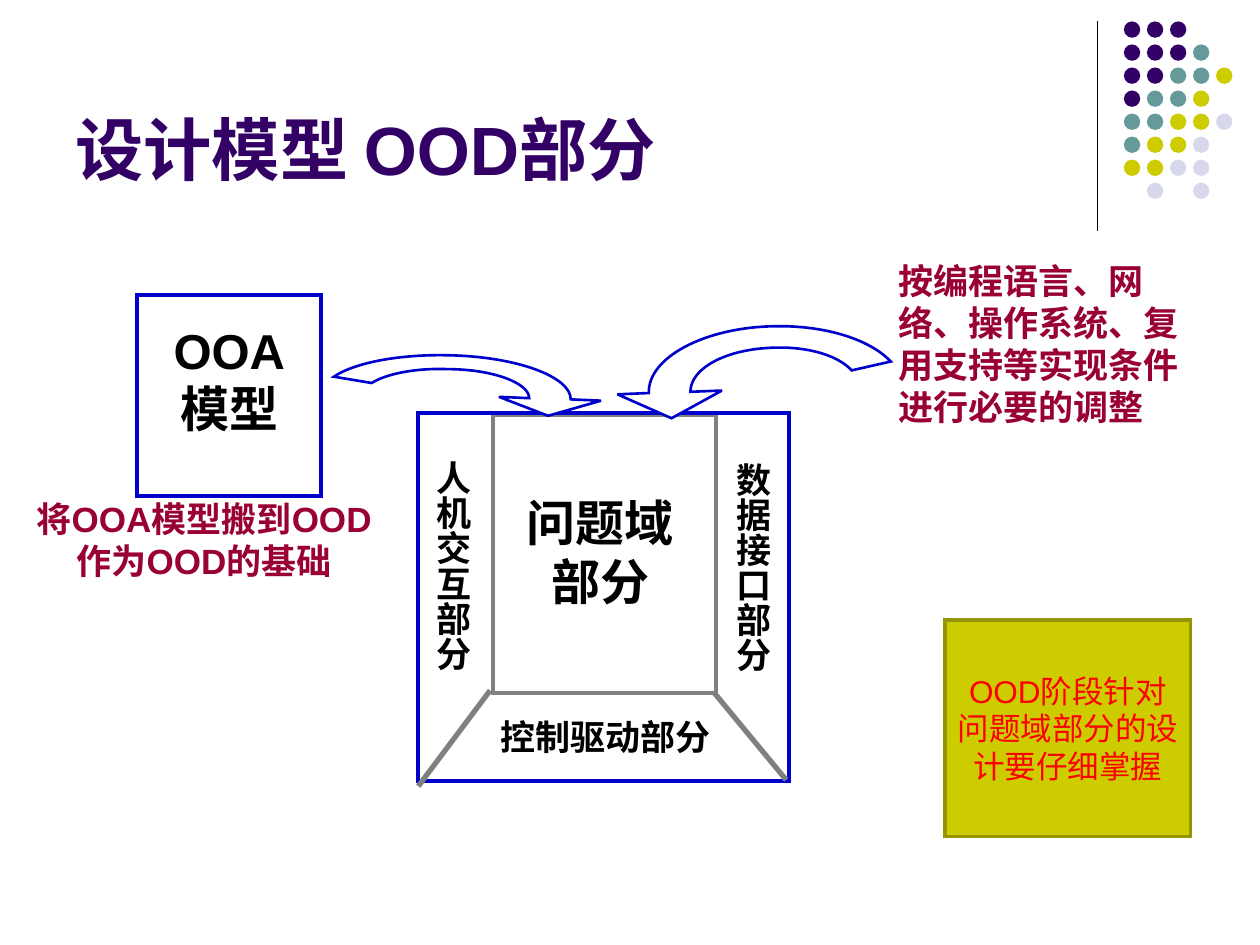
import pptx
import pptx.util
import pptx.dml.color
import pptx.enum.shapes
import pptx.enum.text
import pptx.oxml.ns
from lxml import etree

Inches = pptx.util.Inches
Pt = pptx.util.Pt
SHAPE = pptx.enum.shapes.MSO_SHAPE
ALIGN = pptx.enum.text.PP_ALIGN
ANCHOR = pptx.enum.text.MSO_ANCHOR
qn = pptx.oxml.ns.qn

PURPLE, BLUE, GRAY, WINE = "330066", "0000CC", "808080", "990033"
BLACK, WHITE, RED, OLIVE, DARK_OLIVE = "000000", "FFFFFF", "FF0000", "CCCC00", "959500"
CJK = "Noto Sans CJK SC"

DOT_COLORS = {"P": PURPLE, "T": "669999", "O": OLIVE, "L": "D8D8EC"}
DOT_ROWS = ["PPP", "PPPT", "PPTTO", "PTTO", "TTOOL", "TOOL", "OOLL", " L L"]
DOT_LEFT, DOT_TOP, DOT_SIZE, DOT_PITCH = 8.92, 0.17, 0.13, 1.28 / 7

TITLE = (0.5, 0.13, 8.25, 1.42), ["设计模型 OOD部分"]
MOVE_NOTE = (0.2, 3.95, 2.84, 1), ["将OOA模型搬到OOD", "作为OOD的基础"]
OOA_MODEL = (1.09, 2.34, 1.46, 1.6), ["OOA", "模型"]
ADJUST_NOTE = (7.13, 2.06, 2.36, 1.33), ["按编程语言、网络、操作系统、复用支持等实现条件进行必要的调整"]
REMINDER = (7.5, 4.92, 1.95, 1.72), ["OOD阶段针对问题域部分的设计要仔细掌握"]

PROBLEM_FRAME = (3.91, 3.29, 1.77, 2.21)
OOD_FRAME = (3.32, 3.28, 2.94, 2.92)
CORNER_LINES = [((3.89, 5.48), (3.32, 6.24)), ((5.67, 5.5), (6.24, 6.19))]

# place, lines, size, alignment, text direction
PART_LABELS = [
    ((3.43, 3.66, 0.33, 1.67), ["人机交互部分"], 20, ALIGN.LEFT, "eaVert"),
    ((5.81, 3.67, 0.33, 1.67), ["数据接口部分"], 20, ALIGN.LEFT, "eaVert"),
    ((3.97, 5.68, 1.67, 0.33), ["控制驱动部分"], 20, ALIGN.LEFT, "horz"),
    ((4.18, 3.91, 1.17, 0.93), ["问题域", "部分"], 28, ALIGN.CENTER, "horz"),
]

# Each step is an end point, or two control points and an end point.
MOVE_ARROW = [
    [(4.2, 3.16)],
    [(4.2, 3.04), (3.91, 2.93), (3.55, 2.93)],
    [(3.29, 2.92), (3.06, 2.97), (2.95, 3.04)],
    [(2.65, 2.99)],
    [(2.81, 2.88), (3.17, 2.81), (3.56, 2.82)],
    [(4.1, 2.83), (4.53, 2.99), (4.53, 3.17)],
    [(4.77, 3.18)], [(4.35, 3.3)], [(3.96, 3.15)],
]
ADJUST_ARROW = [
    [(5.48, 3.11)],
    [(5.48, 2.92), (5.77, 2.77), (6.14, 2.76)],
    [(6.41, 2.75), (6.65, 2.82), (6.76, 2.94)],
    [(7.07, 2.87)],
    [(6.9, 2.69), (6.54, 2.58), (6.14, 2.59)],
    [(5.59, 2.6), (5.14, 2.84), (5.15, 3.12)],
    [(4.9, 3.13)], [(5.33, 3.32)], [(5.73, 3.1)],
]


def color(value):
    return pptx.dml.color.RGBColor.from_string(value)


def paint(shape, fill=None, line=None, width=1):
    shape.shadow.inherit = False
    if fill:
        shape.fill.solid()
        shape.fill.fore_color.rgb = color(fill)
    else:
        shape.fill.background()
    if line:
        shape.line.color.rgb = color(line)
        shape.line.width = Pt(width)
        etree.SubElement(shape.line._ln, qn("a:miter")).set("lim", "800000")
    else:
        shape.line.fill.background()


def add_preset(page, kind, place, **style):
    shape = page.shapes.add_shape(kind, *map(Inches, place))
    paint(shape, **style)
    return shape


def add_line(page, start, end, line, width):
    connector = page.shapes.add_connector(
        pptx.enum.shapes.MSO_CONNECTOR.STRAIGHT, *map(Inches, start + end))
    connector.line.color.rgb = color(line)
    connector.line.width = Pt(width)
    etree.SubElement(connector._element.spPr, qn("a:effectLst"))


def write(box, lines, size, ink, font="Arial", bold=True, align=ALIGN.LEFT,
          anchor=ANCHOR.TOP, insets=(0, 0, 0, 0), wrap=True):
    """Fill a box with text; insets are left, top, right, bottom in inches."""
    frame = box.text_frame
    frame.text = "\n".join(lines)
    frame.word_wrap = wrap
    frame.vertical_anchor = anchor
    (frame.margin_left, frame.margin_top,
     frame.margin_right, frame.margin_bottom) = map(Inches, insets)
    for para in frame.paragraphs:
        para.alignment = align
        para._p.get_or_add_pPr().set("hangingPunct", "0")
        for span in para.runs:
            span.font.size = Pt(size)
            span.font.bold = bold
            span.font.name = font
            span.font.color.rgb = color(ink)
            etree.SubElement(span.font._element, qn("a:ea")).set("typeface", CJK)


def add_curved_arrow(page, steps):
    """Build the outline from all points, then merge each curve's three lines."""
    points = [(Inches(x), Inches(y)) for step in steps for x, y in step]
    builder = page.shapes.build_freeform(*points[0])
    builder.add_line_segments(points[1:], close=True)
    arrow = builder.convert_to_shape()
    paint(arrow, fill=WHITE, line=BLUE, width=1.5)
    segments = iter(list(arrow._element.iter(qn("a:lnTo"))))
    for step in steps[1:]:
        first, *others = [next(segments) for _ in step]
        if others:
            curve = etree.Element(qn("a:cubicBezTo"))
            first.addprevious(curve)
            for segment in (first, *others):
                curve.append(segment[0])
                segment.getparent().remove(segment)


def add_dots(page):
    for row, codes in enumerate(DOT_ROWS):
        for column, code in enumerate(codes):
            if code in DOT_COLORS:
                place = (DOT_LEFT + column * DOT_PITCH, DOT_TOP + row * DOT_PITCH,
                         DOT_SIZE, DOT_SIZE)
                add_preset(page, SHAPE.OVAL, place, fill=DOT_COLORS[code])


def main():
    deck = pptx.Presentation()
    deck.slide_width, deck.slide_height = Inches(10), Inches(7.5)
    page = deck.slides.add_slide(deck.slide_layouts[6])

    add_line(page, (8.71, 0.17), (8.71, 1.83), BLACK, 0.75)
    add_dots(page)
    place, lines = TITLE
    write(page.shapes.add_textbox(*map(Inches, place)), lines, 39, PURPLE,
          anchor=ANCHOR.BOTTOM, insets=(0.1, 0.05, 0.1, 0.05))

    place, lines = MOVE_NOTE
    write(add_preset(page, SHAPE.RECTANGLE, place, line=WHITE, width=2.25),
          lines, 20, WINE, align=ALIGN.CENTER)

    add_preset(page, SHAPE.RECTANGLE, PROBLEM_FRAME, line=GRAY, width=2.25)
    add_preset(page, SHAPE.RECTANGLE, OOD_FRAME, line=BLUE, width=2.25)
    for start, end in CORNER_LINES:
        add_line(page, start, end, GRAY, 3)
    for place, lines, size, align, direction in PART_LABELS:
        box = page.shapes.add_textbox(*map(Inches, place))
        write(box, lines, size, BLACK, font=CJK, align=align, wrap=False)
        box.text_frame._txBody.bodyPr.set("vert", direction)

    add_curved_arrow(page, MOVE_ARROW)
    place, lines = OOA_MODEL
    write(add_preset(page, SHAPE.RECTANGLE, place, line=BLUE, width=2.25),
          lines, 28, BLACK, align=ALIGN.CENTER, insets=(0, 0.2, 0, 0))
    place, lines = ADJUST_NOTE
    write(add_preset(page, SHAPE.RECTANGLE, place, line=WHITE, width=2.25),
          lines, 20, WINE, font=CJK)
    add_curved_arrow(page, ADJUST_ARROW)

    place, lines = REMINDER
    write(add_preset(page, SHAPE.RECTANGLE, place, fill=OLIVE, line=DARK_OLIVE, width=2),
          lines, 18, RED, bold=False, align=ALIGN.CENTER, anchor=ANCHOR.MIDDLE,
          insets=(0.1, 0.05, 0.1, 0.05))

    deck.save("out.pptx")


if __name__ == "__main__":
    main()
